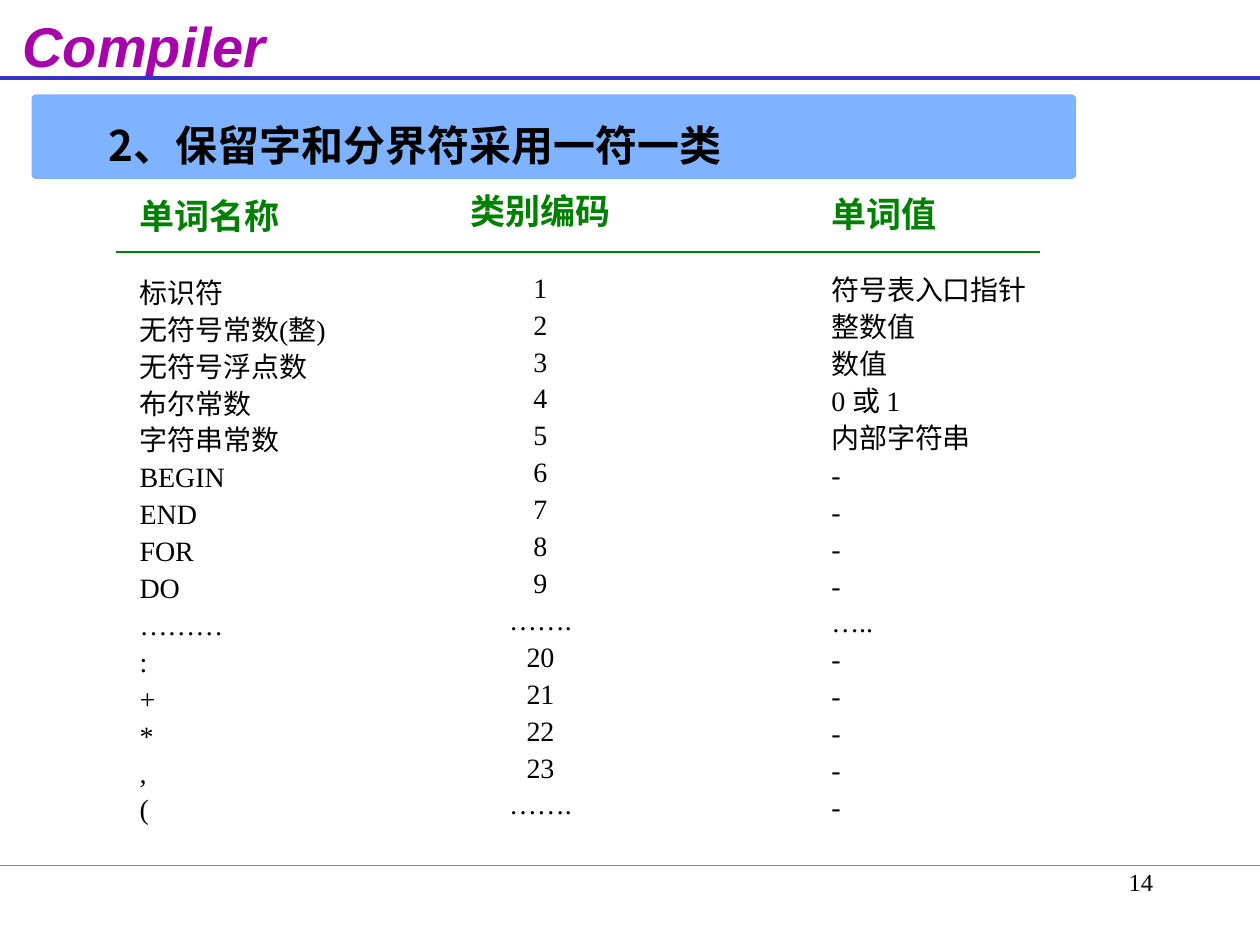
from lxml.etree import SubElement
from pptx import Presentation
from pptx.dml.color import RGBColor
from pptx.enum.shapes import MSO_CONNECTOR, MSO_SHAPE
from pptx.enum.text import MSO_ANCHOR, PP_ALIGN
from pptx.oxml.ns import qn
from pptx.util import Inches, Pt

COLORS = {
    "text": "000000",
    "brand": "A603AB",
    "top_rule": "3333CC",
    "bottom_rule": "00CC99",
    "banner": "0066FF",
    "header": "008000",
}
SERIF, SANS, CJK = "Times New Roman", "Arial", "Noto Sans CJK SC"

HEADERS = ["单词名称", "类别编码", "单词值"]
ROWS = [
    ("标识符", "1", "符号表入口指针"),
    ("无符号常数(整)", "2", "整数值"),
    ("无符号浮点数", "3", "数值"),
    ("布尔常数", "4", "0 或 1"),
    ("字符串常数", "5", "内部字符串"),
    ("BEGIN", "6", "-"),
    ("END", "7", "-"),
    ("FOR", "8", "-"),
    ("DO", "9", "-"),
    ("………", "…….", "….."),
    (":", "20", "-"),
    ("+", "21", "-"),
    ("*", "22", "-"),
    (",", "23", "-"),
    ("(", "…….", "-"),
]
COLUMNS = [
    ((1.01, 1.5, 2.1, 5.1), PP_ALIGN.LEFT),
    ((3.51, 1.46, 1.56, 5.1), PP_ALIGN.CENTER),
    ((6.5, 1.48, 2, 5.1), PP_ALIGN.LEFT),
]


def rgb(name):
    return RGBColor.from_string(COLORS[name])


def add_run(p, text, color, **font):
    r = p.add_run()
    r.text = text
    for name, value in font.items():
        setattr(r.font, name, value)
    r.font.color.rgb = rgb(color)
    SubElement(r.font._element, qn("a:ea")).set("typeface", CJK)


def add_text(s, box, anchor=MSO_ANCHOR.TOP):
    tf = s.shapes.add_textbox(*map(Inches, box)).text_frame
    tf.word_wrap = True
    tf.vertical_anchor = anchor
    return tf


def add_rule(s, x1, x2, y, color, width):
    line = s.shapes.add_connector(
        MSO_CONNECTOR.STRAIGHT, Inches(x1), Inches(y), Inches(x2), Inches(y))
    line.line.color.rgb = rgb(color)
    line.line.width = Pt(width)
    SubElement(line._element.spPr, qn("a:effectLst"))


def add_frame(s, width):
    p = add_text(s, (7.17, 6.83, 2.08, 0.5)).paragraphs[0]
    p.alignment = PP_ALIGN.RIGHT
    add_run(p, "14", "text", name=SERIF, size=Pt(14))
    p = add_text(s, (0.08, 0.04, 2.5, 0.62)).paragraphs[0]
    add_run(p, "Compiler", "brand", name=SANS, size=Pt(32), bold=True, italic=True)
    add_rule(s, 0, width, 0.62, "top_rule", 2.25)
    add_rule(s, 0, width, 6.87, "bottom_rule", 0.75)


def add_banner(s, box, text):
    box = [Inches(length) for length in box]
    sp = s.shapes.add_shape(MSO_SHAPE.ROUNDED_RECTANGLE, *box)
    sp.adjustments[0] = 0.05
    sp.shadow.inherit = False
    sp.line.fill.background()
    sp.fill.solid()
    sp.fill.fore_color.rgb = rgb("banner")
    color = sp._element.spPr.find(".//" + qn("a:srgbClr"))
    SubElement(color, qn("a:alpha")).set("val", "50000")

    title = s.shapes.title
    sp._element.addnext(title._element)
    title.left, title.top, title.width, title.height = box
    tf = title.text_frame
    tf.word_wrap = True
    tf.vertical_anchor = MSO_ANCHOR.MIDDLE
    tf.margin_left = Inches(0.61)
    p = tf.paragraphs[0]
    p.alignment = PP_ALIGN.LEFT
    p.line_spacing = 1.3
    add_run(p, text, "text", name=CJK, size=Pt(24), bold=True)


def add_column(s, box, header, entries, align):
    tf = add_text(s, box, MSO_ANCHOR.MIDDLE)
    p = tf.paragraphs[0]
    p.alignment = align
    p.line_spacing = Pt(24)
    add_run(p, header, "header", name=SERIF, size=Pt(20), bold=True)
    for i, entry in enumerate(entries):
        p = tf.add_paragraph()
        p.alignment = align
        p.line_spacing = Pt(21.1)
        if i == 0:
            p.space_before = Pt(20)
        add_run(p, entry, "text", name=SERIF, size=Pt(16), bold=False)


def main():
    prs = Presentation()
    prs.slide_width, prs.slide_height = Inches(10), Inches(7.5)
    s = prs.slides.add_slide(prs.slide_layouts[5])
    add_frame(s, 10)
    add_banner(s, (0.25, 0.75, 8.29, 0.67), "2、保留字和分界符采用一符一类")
    for header, entries, (box, align) in zip(HEADERS, zip(*ROWS), COLUMNS):
        add_column(s, box, header, entries, align)
    add_rule(s, 0.92, 8.25, 2, "header", 1.5)
    prs.save("out.pptx")


if __name__ == "__main__":
    main()
